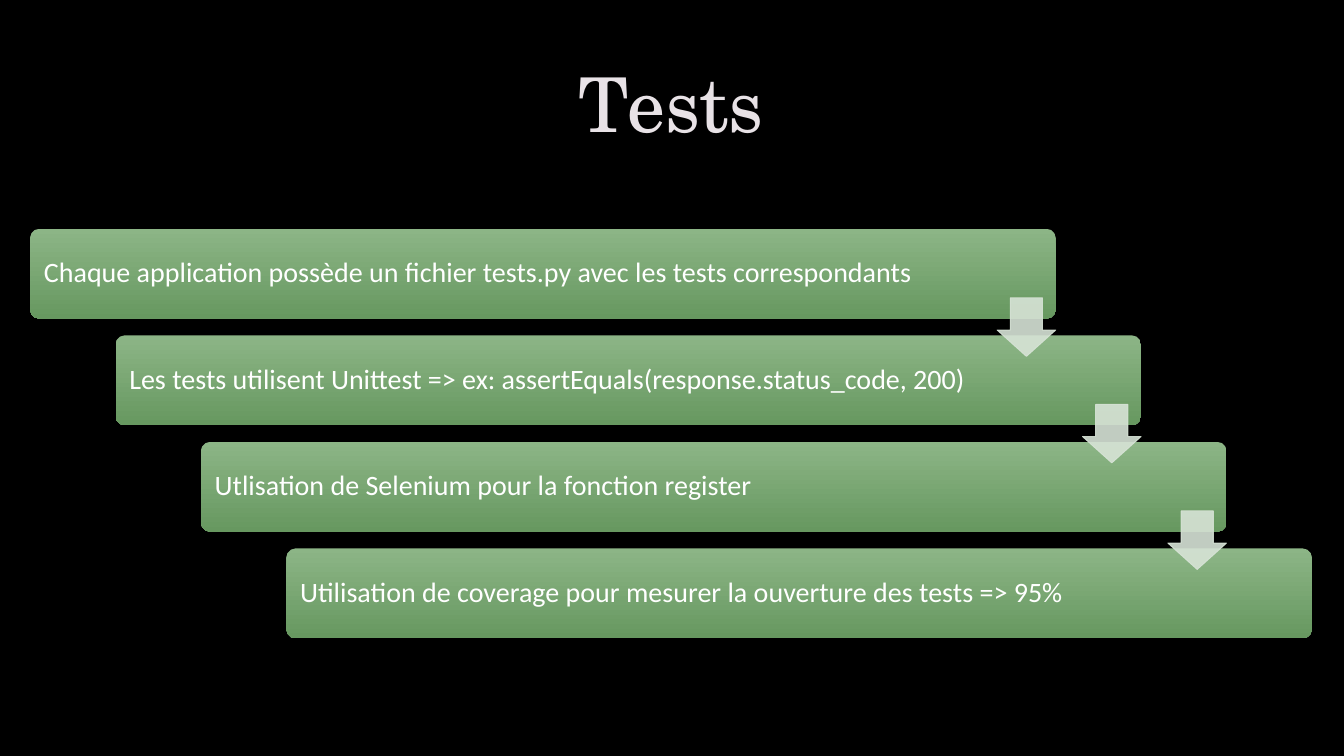
from lxml import etree
from pptx import Presentation
from pptx.dml.color import RGBColor
from pptx.enum import shapes, text
from pptx.oxml import ns
from pptx.util import Inches, Pt

BLACK = RGBColor(0x00, 0x00, 0x00)
WHITE = RGBColor(0xFF, 0xFF, 0xFF)
TITLE_GREY = RGBColor(0xE8, 0xE2, 0xE6)
LIGHT_GREEN = RGBColor(0x8C, 0xB5, 0x86)
DARK_GREEN = RGBColor(0x67, 0x98, 0x60)
PALE_GREEN = RGBColor(0xD7, 0xE3, 0xD6)

STEPS = [
    "Chaque application possède un fichier tests.py avec les tests correspondants",
    "Les tests utilisent Unittest => ex: assertEquals(response.status_code, 200)",
    "Utlisation de Selenium pour la fonction register",
    "Utilisation de coverage pour mesurer la ouverture des tests => 95%",
]
LEFT, TOP = 0.3, 2.27
STEP_X, STEP_Y = 0.847, 1.057
BOX_WIDTH, BOX_HEIGHT = 10.17, 0.89
ARROW_SIZE = 0.58
ARROW_DROP = 0.685


def write(box, words, font, size, color, align, inset=0.1):
    frame = box.text_frame
    frame.word_wrap = True
    frame.auto_size = text.MSO_AUTO_SIZE.NONE
    frame.vertical_anchor = text.MSO_ANCHOR.MIDDLE
    frame.margin_left = frame.margin_right = Inches(inset)
    frame.margin_top = frame.margin_bottom = Inches(0.05)
    para = frame.paragraphs[0]
    para.alignment = align
    para.line_spacing = 0.9
    span = para.add_run()
    span.text = words
    span.font.name = font
    span.font.size = Pt(size)
    span.font.color.rgb = color


deck = Presentation()
deck.slide_width = Inches(13.33)
deck.slide_height = Inches(7.5)
page = deck.slides.add_slide(deck.slide_layouts.get_by_name("Title Only"))
page.background.fill.solid()
page.background.fill.fore_color.rgb = BLACK

title = page.shapes.title
title.left, title.top = Inches(1), Inches(0.67)
title.width, title.height = Inches(11.32), Inches(0.81)
write(title, "Tests", font="TeX Gyre Schola", size=54, color=TITLE_GREY,
      align=text.PP_ALIGN.CENTER)

for index, words in enumerate(STEPS):
    box = page.shapes.add_shape(
        shapes.MSO_SHAPE.ROUNDED_RECTANGLE,
        Inches(LEFT + index * STEP_X), Inches(TOP + index * STEP_Y),
        Inches(BOX_WIDTH), Inches(BOX_HEIGHT))
    box.name = f"Step {index + 1}"
    box.adjustments[0] = 0.1
    box.shadow.inherit = False
    box.line.fill.background()
    box.fill.gradient()
    box.fill.gradient_angle = 270
    for stop, color in zip(box.fill.gradient_stops, (LIGHT_GREEN, DARK_GREEN)):
        stop.color.rgb = color
    write(box, words, font="Calibri", size=20, color=WHITE,
          align=text.PP_ALIGN.LEFT, inset=0.11)

for index in range(len(STEPS) - 1):
    arrow = page.shapes.add_shape(
        shapes.MSO_SHAPE.DOWN_ARROW,
        Inches(LEFT + BOX_WIDTH - ARROW_SIZE + index * STEP_X),
        Inches(TOP + ARROW_DROP + index * STEP_Y),
        Inches(ARROW_SIZE), Inches(ARROW_SIZE))
    arrow.name = f"Arrow {index + 1}"
    arrow.adjustments[0] = 0.55
    arrow.adjustments[1] = 0.45
    arrow.shadow.inherit = False
    arrow.fill.solid()
    arrow.fill.fore_color.rgb = PALE_GREEN
    arrow.line.color.rgb = PALE_GREEN
    arrow.line.width = Pt(0.75)
    for color in arrow.element.spPr.iter(ns.qn("a:srgbClr")):
        etree.SubElement(color, ns.qn("a:alpha"), val="90000")

deck.save("out.pptx")
